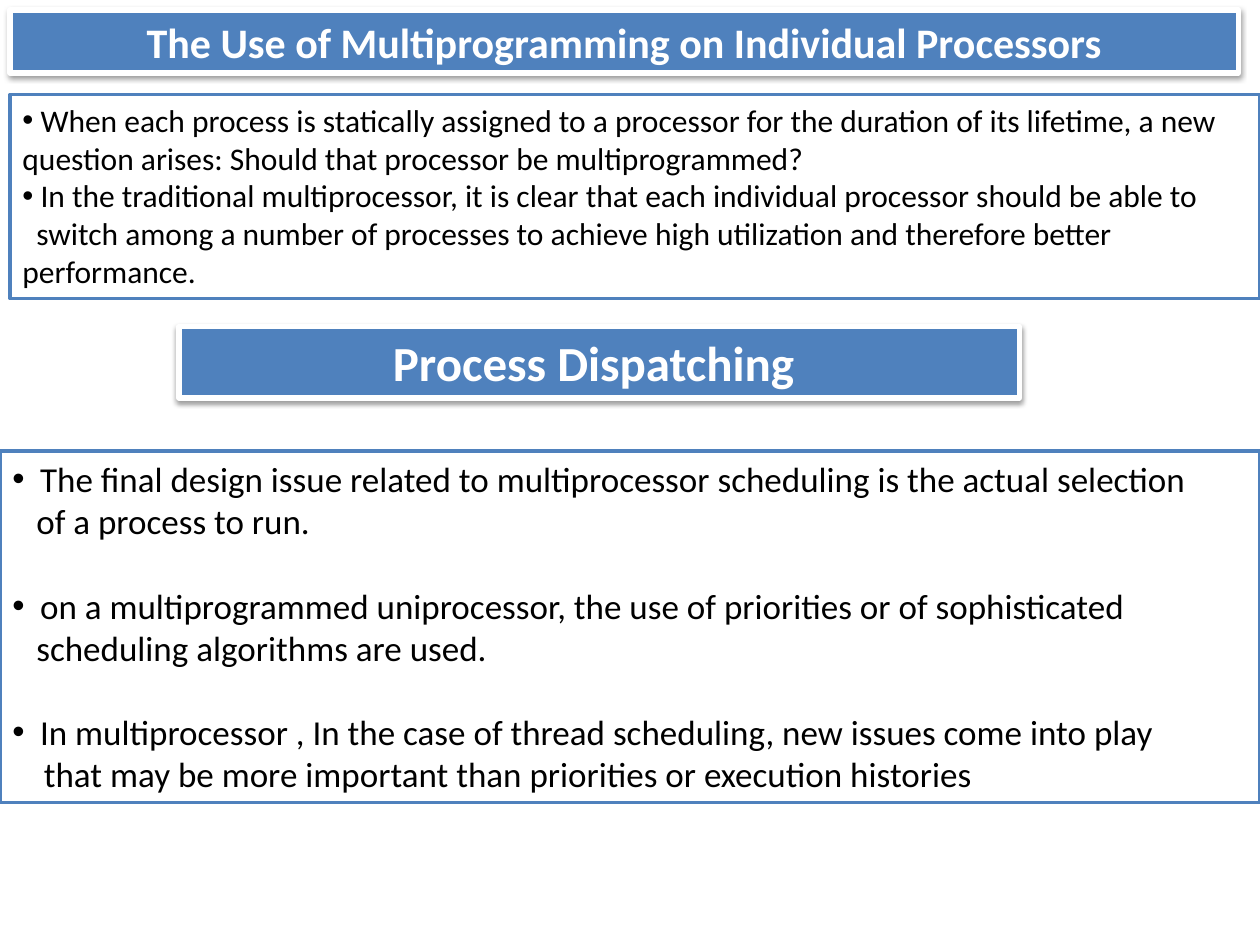
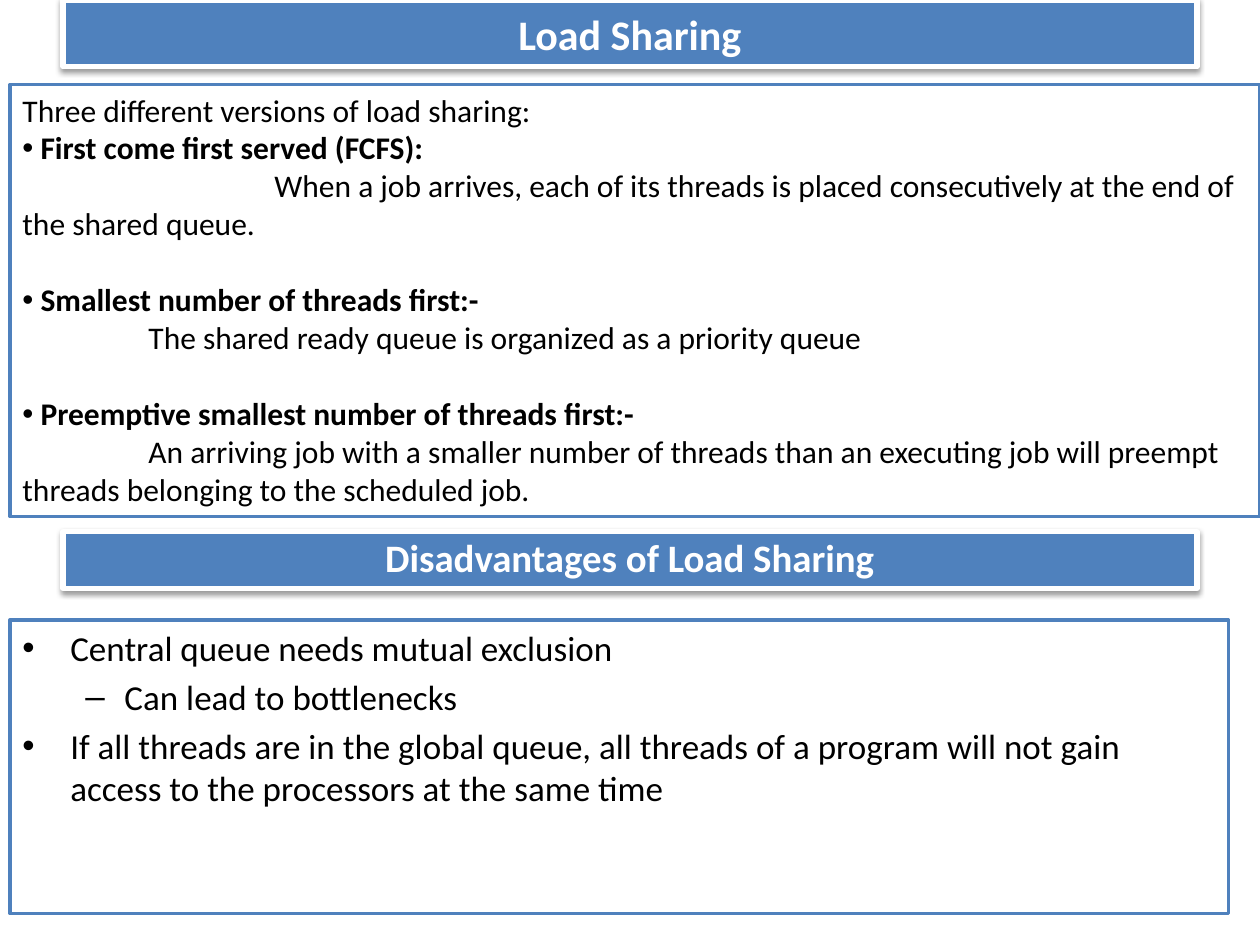
"""Build two slides on multiprocessor scheduling with banners and outlined text boxes."""
from dataclasses import dataclass

from lxml import etree
from pptx import Presentation
from pptx.dml.color import RGBColor
from pptx.enum.shapes import MSO_SHAPE
from pptx.enum.text import MSO_ANCHOR, MSO_AUTO_SIZE, PP_ALIGN
from pptx.oxml.ns import qn
from pptx.util import Inches, Pt

RECTANGLE = MSO_SHAPE.RECTANGLE
TOP, MIDDLE = MSO_ANCHOR.TOP, MSO_ANCHOR.MIDDLE
LEFT, CENTER = PP_ALIGN.LEFT, PP_ALIGN.CENTER
NO_AUTOSIZE = MSO_AUTO_SIZE.NONE
TITLE_ONLY = 5


@dataclass(frozen=True)
class Theme:
    blue: str = "4F81BD"
    white: str = "FFFFFF"
    black: str = "000000"
    font: str = "Calibri"
    bullet_font: str = "Arial"
    heading: float = 24
    heading_large: float = 28
    heading_small: float = 22.2
    body: float = 18
    body_large: float = 20
    banner_line: float = 3
    box_line: float = 2
    blank_line: float = 1.22


THEME = Theme()


def write(paragraph, text, *, size, color=THEME.black, bold=False, align=LEFT, margin=0,
          indent=0, bullet=None, level=0, before=0, spacing=None):
    paragraph.alignment = align
    paragraph.level = level
    paragraph.space_before = Pt(before)
    if spacing:
        paragraph.line_spacing = spacing
    properties = paragraph._p.get_or_add_pPr()
    properties.set("marL", str(Inches(margin)))
    properties.set("indent", str(Inches(indent)))
    if bullet:
        etree.SubElement(properties, qn("a:buFont"), typeface=THEME.bullet_font)
        etree.SubElement(properties, qn("a:buChar"), char=bullet)
    span = paragraph.add_run()
    span.text = text
    span.font.name = THEME.font
    span.font.size = Pt(size)
    span.font.bold = bold
    span.font.color.rgb = RGBColor.from_string(color)


class SlideBuilder:
    def __init__(self, deck, theme):
        self.deck = deck
        self.theme = theme
        self.page = None

    def new_page(self):
        self.page = self.deck.slides.add_slide(self.deck.slide_layouts[TITLE_ONLY])

    def rectangle(self, place):
        return self.page.shapes.add_shape(RECTANGLE, *map(Inches, place))

    def style(self, shape, fill, line, width, anchor):
        shape.fill.solid()
        shape.fill.fore_color.rgb = RGBColor.from_string(fill)
        shape.line.color.rgb = RGBColor.from_string(line)
        shape.line.width = Pt(width)
        shape.shadow.inherit = False
        frame = shape.text_frame
        frame.word_wrap = True
        frame.auto_size = NO_AUTOSIZE
        frame.vertical_anchor = anchor
        return frame

    def add_shadow(self, shape):
        effects = shape._element.spPr.find(qn("a:effectLst"))
        shadow = etree.SubElement(effects, qn("a:outerShdw"), blurRad=str(Pt(3.1)),
                                  dist=str(Pt(1.6)), dir="5400000", rotWithShape="0")
        color = etree.SubElement(shadow, qn("a:srgbClr"), val=self.theme.black)
        etree.SubElement(color, qn("a:alpha"), val="38000")

    def format_banner(self, shape, text, size, spacing=None):
        theme = self.theme
        frame = self.style(shape, theme.blue, theme.white, theme.banner_line, MIDDLE)
        self.add_shadow(shape)
        write(frame.paragraphs[0], text, size=size, color=theme.white, bold=True,
              align=CENTER, spacing=spacing)

    def title(self, text, place):
        shape = self.page.shapes.title
        shape.left, shape.top, shape.width, shape.height = map(Inches, place)
        self.format_banner(shape, text, self.theme.heading)

    def banner(self, text, place, size, spacing=None):
        self.format_banner(self.rectangle(place), text, size, spacing)

    def text_box(self, place, size, lines):
        theme = self.theme
        frame = self.style(self.rectangle(place), theme.white, theme.blue, theme.box_line, TOP)
        for index, (text, options) in enumerate(lines):
            paragraph = frame.add_paragraph() if index else frame.paragraphs[0]
            write(paragraph, text, size=size, **options)


def build_dispatching(builder):
    theme = builder.theme
    builder.new_page()
    builder.title("The Use of Multiprogramming on Individual Processors", (0.08, 0.08, 9.75, 0.5))
    dot = {"bullet": "•"}
    builder.text_box((0.08, 0.75, 9.92, 1.62), theme.body, [
        (" When each process is statically assigned to a processor for the duration of its "
         "lifetime, a new question arises: Should that processor be multiprogrammed?", dot),
        (" In the traditional multiprocessor, it is clear that each individual processor "
         "should be able to", dot),
        ("switch among a number of processes to achieve high utilization and therefore "
         "better performance.", {"indent": 0.11}),
    ])
    item = {"bullet": "•", "margin": 0.22, "indent": -0.22}
    next_item = item | {"before": theme.body_large * theme.blank_line}
    builder.text_box((0, 3.58, 10, 2.79), theme.body_large, [
        ("The final design issue related to multiprocessor scheduling is the actual selection",
         item),
        ("of a process to run.", {"margin": 0.19}),
        ("on a multiprogrammed uniprocessor, the use of priorities or of sophisticated",
         next_item),
        ("scheduling algorithms are used.", {"margin": 0.19}),
        ("In multiprocessor , In the case of thread scheduling, new issues come into play",
         next_item),
        ("that may be more important than priorities or execution histories",
         {"margin": 0.25}),
    ])
    builder.banner("Process Dispatching ", (1.42, 2.59, 6.67, 0.57), theme.heading_large)


def build_load_sharing(builder):
    theme = builder.theme
    builder.new_page()
    builder.title("Load Sharing", (0.5, 0, 9, 0.53))
    version = {"bullet": "•", "bold": True}
    next_version = version | {"before": theme.body * theme.blank_line}
    builder.text_box((0.08, 0.67, 9.92, 3.43), theme.body, [
        ("Three different versions of load sharing:", {}),
        (" First come first served (FCFS):", version),
        ("When a job arrives, each of its threads is placed consecutively at the end of "
         "the shared queue.", {"indent": 2}),
        (" Smallest number of threads first:-", next_version),
        ("The shared ready queue is organized as a priority queue", {"indent": 1}),
        (" Preemptive smallest number of threads first:-", next_version),
        ("An arriving job with a smaller number of threads than an executing job will "
         "preempt threads belonging to the scheduled job.", {"indent": 1}),
    ])
    builder.banner("Disadvantages of Load Sharing", (0.5, 4.22, 9, 0.45),
                   theme.heading_small, spacing=0.9)
    gap = theme.body_large * 0.2
    point = {"bullet": "•", "margin": 0.38, "indent": -0.38, "before": gap}
    detail = {"bullet": "–", "margin": 0.81, "indent": -0.31, "before": gap, "level": 1}
    builder.text_box((0.08, 4.92, 9.67, 2.33), theme.body_large, [
        ("Central queue needs mutual exclusion", point),
        ("Can lead to bottlenecks", detail),
        ("If all threads are in the global queue, all threads of a program will not gain "
         "access to the processors at the same time", point),
    ])


def main():
    deck = Presentation()
    deck.slide_width, deck.slide_height = Inches(10), Inches(7.5)
    builder = SlideBuilder(deck, THEME)
    build_dispatching(builder)
    build_load_sharing(builder)
    deck.save("out.pptx")


if __name__ == "__main__":
    main()
